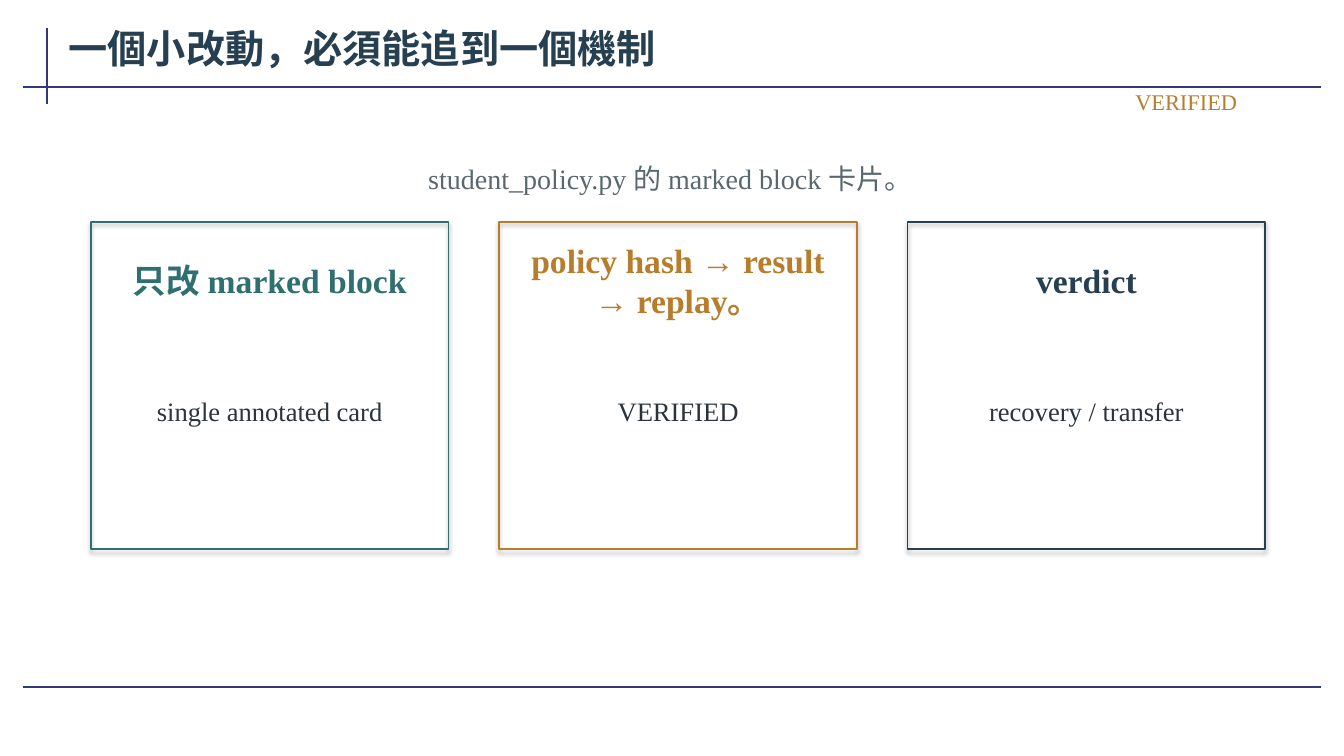
from lxml.etree import SubElement
from pptx import Presentation
from pptx.dml.color import RGBColor
from pptx.enum.shapes import MSO_CONNECTOR, MSO_SHAPE
from pptx.enum.text import MSO_ANCHOR, MSO_AUTO_SIZE, PP_ALIGN
from pptx.oxml.ns import qn
from pptx.util import Inches, Pt

NAVY = RGBColor(0x26, 0x3F, 0x51)
TEAL = RGBColor(0x2F, 0x6F, 0x70)
OCHRE = RGBColor(0xB7, 0x7D, 0x2D)
SLATE = RGBColor(0x59, 0x68, 0x6F)
INK = RGBColor(0x2A, 0x34, 0x3A)
INDIGO = RGBColor(0x35, 0x37, 0x7F)

FONT = "Times New Roman"
MARGIN, COLUMN_STEP = 0.9, 4.05
CARD_TOP, CARD_WIDTH, CARD_HEIGHT = 2.2, 3.55, 3.25
RULE_LEFT, RULE_RIGHT = 0.23, 13.1
HEADER_LINE, FOOTER_LINE = 0.86, 6.82

CARDS = [
    ("只改 marked block", "single annotated card", TEAL),
    ("policy hash → result → replay。", "VERIFIED", OCHRE),
    ("verdict", "recovery / transfer", NAVY),
]


def write_text(box, text, size, color, bold=False, align=PP_ALIGN.CENTER):
    """Put one formatted paragraph in a box, centred vertically."""
    frame = box.text_frame
    frame.word_wrap = True
    frame.vertical_anchor = MSO_ANCHOR.MIDDLE
    frame.margin_left = frame.margin_right = Inches(0.08)
    frame.margin_top = frame.margin_bottom = Inches(0.04)
    para = frame.paragraphs[0]
    para.alignment = align
    span = para.add_run()
    span.text = text
    span.font.name = FONT
    span.font.size = Pt(size)
    span.font.bold = bold
    span.font.color.rgb = color


def add_text(page, left, top, width, height, text, **style):
    """Add a text box that grows with its text."""
    box = page.shapes.add_textbox(*map(Inches, (left, top, width, height)))
    box.text_frame.auto_size = MSO_AUTO_SIZE.SHAPE_TO_FIT_TEXT
    write_text(box, text, **style)


def add_rule(page, *ends):
    """Draw a straight frame line between two points."""
    rule = page.shapes.add_connector(MSO_CONNECTOR.STRAIGHT, *map(Inches, ends))
    rule.line.color.rgb = INDIGO
    rule.line.width = Pt(1.5)
    SubElement(rule._element.spPr, qn("a:effectLst"))


def add_title(page, text):
    """Place and fill the title placeholder."""
    title = page.shapes.title
    title.left, title.top = Inches(0.6), Inches(0.16)
    title.width, title.height = Inches(12.51), Inches(0.62)
    write_text(title, text, size=28, color=NAVY, bold=True, align=PP_ALIGN.LEFT)


def add_card(page, column, heading, body, color):
    """Add an outlined card, with the theme's shadow, in a column."""
    left = MARGIN + column * COLUMN_STEP
    card = page.shapes.add_shape(
        MSO_SHAPE.RECTANGLE,
        *map(Inches, (left, CARD_TOP, CARD_WIDTH, CARD_HEIGHT)))
    card.fill.background()
    card.line.color.rgb = color
    card.line.width = Pt(1.2)
    add_text(page, left + 0.15, CARD_TOP + 0.25, CARD_WIDTH - 0.3, 0.65,
             heading, size=24, color=color, bold=True)
    add_text(page, left + 0.2, CARD_TOP + 1.1, CARD_WIDTH - 0.4, 1.55,
             body, size=19, color=INK)


def main():
    """Build the slide and save it."""
    deck = Presentation()
    deck.slide_width, deck.slide_height = Inches(13.33), Inches(7.5)
    page = deck.slides.add_slide(deck.slide_layouts.get_by_name("Title Only"))
    add_rule(page, 0.47, 0.28, 0.47, 1.03)
    for height in (HEADER_LINE, FOOTER_LINE):
        add_rule(page, RULE_LEFT, height, RULE_RIGHT, height)
    add_title(page, "一個小改動，必須能追到一個機制")
    add_text(page, MARGIN, 1.48, 11.5, 0.58,
             "student_policy.py 的 marked block 卡片。", size=20, color=SLATE)
    for column, card in enumerate(CARDS):
        add_card(page, column, *card)
    add_text(page, 9.15, HEADER_LINE, 3.2, 0.3, "VERIFIED",
             size=16, color=OCHRE, align=PP_ALIGN.RIGHT)
    deck.save("out.pptx")


if __name__ == "__main__":
    main()
